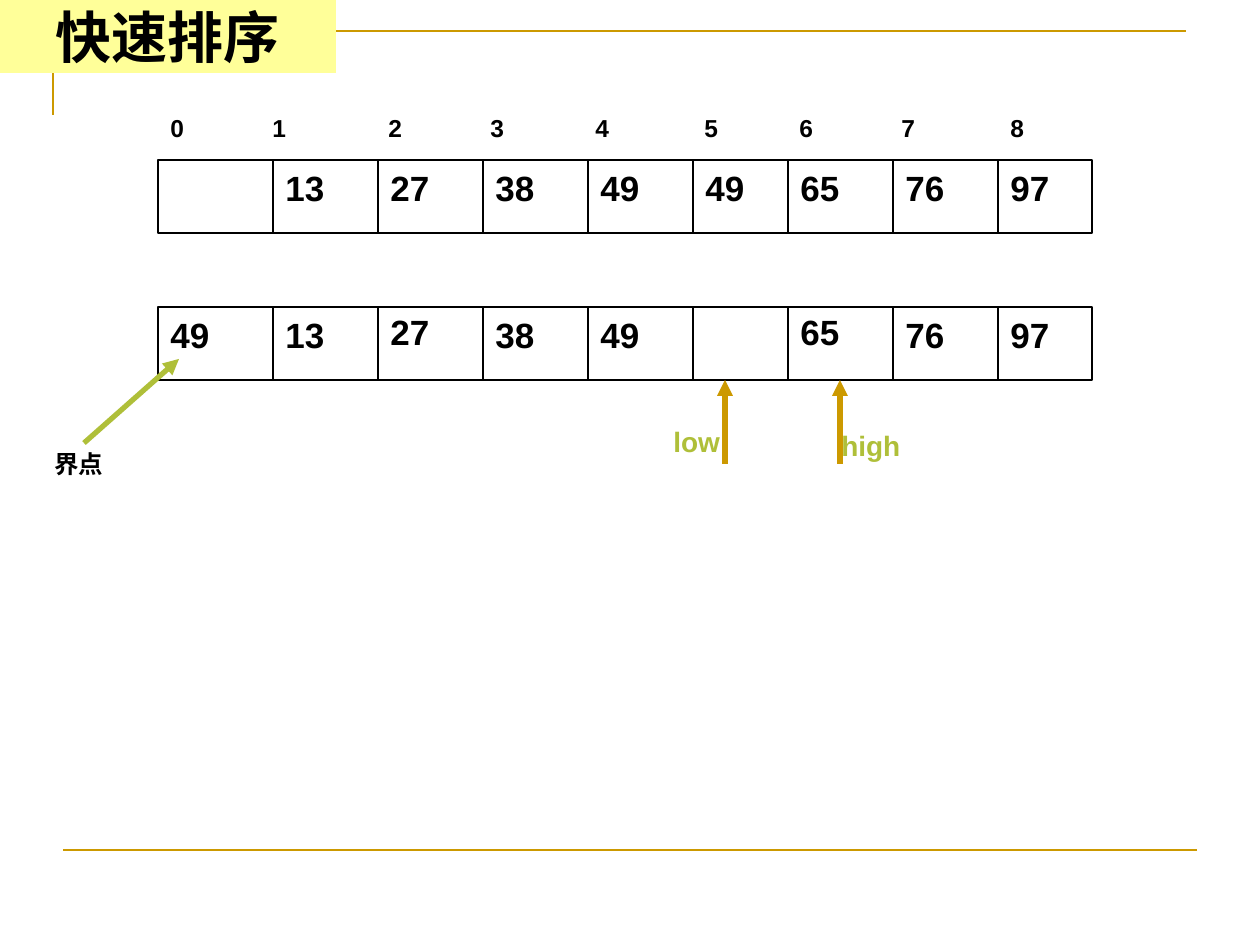
import pptx
import pptx.dml.color
import pptx.enum.shapes
import pptx.enum.text
import pptx.oxml.ns
import pptx.util
from lxml import etree

BLACK = pptx.dml.color.RGBColor(0x00, 0x00, 0x00)
WHITE = pptx.dml.color.RGBColor(0xFF, 0xFF, 0xFF)
GOLD = pptx.dml.color.RGBColor(0xCC, 0x99, 0x00)
GREEN = pptx.dml.color.RGBColor(0xAF, 0xBF, 0x39)
YELLOW = pptx.dml.color.RGBColor(0xFF, 0xFF, 0x99)

PX_PER_INCH = 126
EMU_PER_PX = 914400 / PX_PER_INCH

COLUMN_LEFTS = [158, 273, 378, 483, 588, 693, 788, 893, 998]
ARRAY_RIGHT = 1092
ARRAY_HEIGHT = 73
INDEX_TABS = [102, 218, 320, 425, 534, 629, 731, 840]


def px(length):
    return pptx.util.Emu(round(length * EMU_PER_PX))


def add_child(parent, tag, **attributes):
    return etree.SubElement(parent, pptx.oxml.ns.qn(tag), attributes)


class SlideBuilder:
    font_name = "Arial"

    def __init__(self, slide):
        self.shapes = slide.shapes

    def set_text(self, shape, content, size, color=BLACK, font_name=None, tabs=()):
        frame = shape.text_frame
        frame.word_wrap = True
        frame.text = content
        paragraph = frame.paragraphs[0]
        if tabs:
            tab_list = add_child(paragraph._p.get_or_add_pPr(), "a:tabLst")
            for stop in tabs:
                add_child(tab_list, "a:tab", pos=str(px(stop)), algn="l")
        paragraph.font.name = font_name or self.font_name
        paragraph.font.size = pptx.util.Pt(size)
        paragraph.font.bold = True
        paragraph.font.color.rgb = color
        return paragraph

    def text(self, left, top, width, height, content, size, **style):
        box = self.shapes.add_textbox(px(left), px(top), px(width), px(height))
        self.set_text(box, content, size, **style)

    def rectangle(self, left, top, width, height, fill, outline=None):
        box = self.shapes.add_shape(
            pptx.enum.shapes.MSO_SHAPE.RECTANGLE,
            px(left), px(top), px(width), px(height))
        box.shadow.inherit = False
        box.fill.solid()
        box.fill.fore_color.rgb = fill
        if outline is None:
            box.line.fill.background()
        else:
            box.line.color.rgb = outline
            box.line.width = pptx.util.Pt(0.75)
        return box

    def line(self, start, end, color, weight, arrow=False):
        connector = self.shapes.add_connector(
            pptx.enum.shapes.MSO_CONNECTOR.STRAIGHT,
            px(start[0]), px(start[1]), px(end[0]), px(end[1]))
        connector.line.color.rgb = color
        connector.line.width = pptx.util.Pt(weight)
        properties = connector._element.spPr
        if arrow:
            outline = properties.find(pptx.oxml.ns.qn("a:ln"))
            add_child(outline, "a:tailEnd", type="triangle")
        add_child(properties, "a:effectLst")

    def polyline(self, points, color, weight):
        start, *rest = [(px(x), px(y)) for x, y in points]
        builder = self.shapes.build_freeform(*start)
        builder.add_line_segments(rest, close=False)
        outline = builder.convert_to_shape()
        outline.shadow.inherit = False
        outline.fill.background()
        outline.line.color.rgb = color
        outline.line.width = pptx.util.Pt(weight)

    def array(self, top, values, raised=()):
        left = COLUMN_LEFTS[0]
        self.rectangle(left, top, ARRAY_RIGHT - left, ARRAY_HEIGHT, WHITE, BLACK)
        for divider in COLUMN_LEFTS[1:]:
            self.line((divider, top), (divider, top + ARRAY_HEIGHT), BLACK, 0.75)
        for column, value in enumerate(values):
            if value:
                value_top = top - 3 if column in raised else top
                self.text(COLUMN_LEFTS[column], value_top, 84, 55, value, 20)

    def pointer(self, x, label, label_left, label_top):
        self.line((x, 464), (x, 380), GOLD, 3, arrow=True)
        self.text(label_left, label_top, 116, 46, label, 16, color=GREEN)

    def title(self, content):
        banner = self.rectangle(0, 0, 336, 73, YELLOW)
        banner.text_frame.vertical_anchor = pptx.enum.text.MSO_ANCHOR.MIDDLE
        heading = self.set_text(banner, content, 32, font_name="Times New Roman")
        heading.alignment = pptx.enum.text.PP_ALIGN.CENTER


def main():
    deck = pptx.Presentation()
    deck.slide_width = px(1260)
    deck.slide_height = px(945)
    builder = SlideBuilder(deck.slides.add_slide(deck.slide_layouts[6]))

    builder.polyline([(53, 115), (53, 31), (1186, 31)], GOLD, 1.5)
    builder.line((63, 850), (1197, 850), GOLD, 1.5)

    builder.text(158, 107, 934, 43, "\t".join("012345678"), 14, tabs=INDEX_TABS)
    builder.array(160, ["", "13", "27", "38", "49", "49", "65", "76", "97"])
    builder.array(307, ["49", "13", "27", "38", "49", "", "65", "76", "97"],
                  raised=(2, 6))

    builder.pointer(840, "high", 829, 422)
    builder.pointer(725, "low", 661, 418)
    builder.text(42, 443, 105, 43, "界点", 14)
    builder.line((84, 443), (179, 359), GREEN, 3, arrow=True)

    builder.title("快速排序")
    deck.save("out.pptx")


if __name__ == "__main__":
    main()
